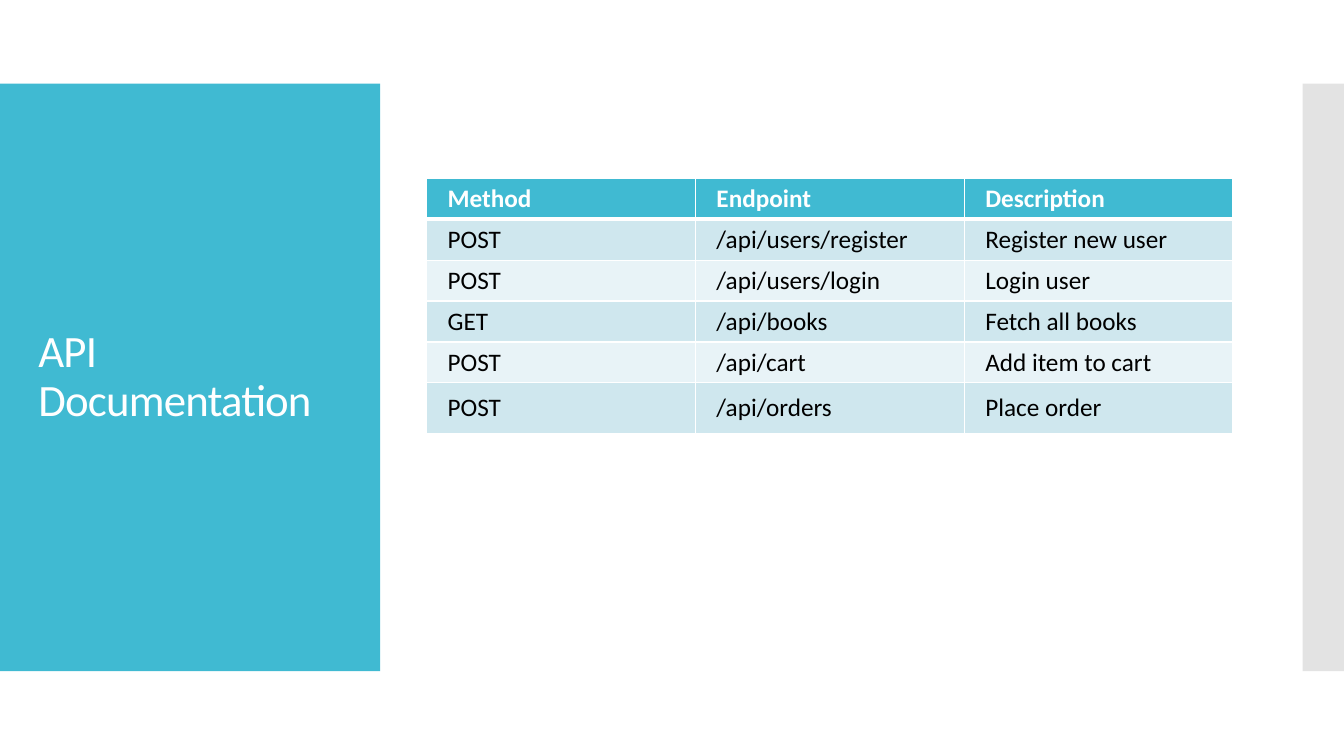
from lxml import etree
from pptx import Presentation
from pptx.dml.color import RGBColor
from pptx.enum.shapes import MSO_SHAPE
from pptx.enum.text import MSO_ANCHOR, MSO_AUTO_SIZE, PP_ALIGN
from pptx.oxml.ns import qn
from pptx.util import Inches, Pt

RECTANGLE = MSO_SHAPE.RECTANGLE
MIDDLE = MSO_ANCHOR.MIDDLE
NO_AUTOFIT = MSO_AUTO_SIZE.NONE
LEFT = PP_ALIGN.LEFT

TEAL = RGBColor(0x40, 0xBA, 0xD2)
GRAY = RGBColor(0xC8, 0xC8, 0xC8)
BAND_DARK = RGBColor(0xCF, 0xE7, 0xEE)
BAND_LIGHT = RGBColor(0xE8, 0xF3, 0xF7)
WHITE = RGBColor(0xFF, 0xFF, 0xFF)
BLACK = RGBColor(0x00, 0x00, 0x00)
FONT = "Calibri"
TITLE_ONLY = 5

ENDPOINTS = [
    ("Method", "Endpoint", "Description"),
    ("POST", "/api/users/register", "Register new user"),
    ("POST", "/api/users/login", "Login user"),
    ("GET", "/api/books", "Fetch all books"),
    ("POST", "/api/cart", "Add item to cart"),
    ("POST", "/api/orders", "Place order"),
]
ROW_HEIGHTS = [0.37] * 5 + [0.5]


def format_font(font, size, color, bold=False):
    font.name = FONT
    font.size = Pt(size)
    font.bold = bold
    font.color.rgb = color


def add_panel(slide, left, width, color, opacity=100):
    panel = slide.shapes.add_shape(
        RECTANGLE, Inches(left), Inches(0.83), Inches(width), Inches(5.83))
    panel.shadow.inherit = False
    panel.fill.solid()
    panel.fill.fore_color.rgb = color
    panel.line.fill.background()
    if opacity < 100:
        fill_color = panel.element.spPr.find(qn("a:solidFill"))[0]
        etree.SubElement(fill_color, qn("a:alpha"), val=str(opacity * 1000))
    slide.shapes.title.element.addprevious(panel.element)


def set_title(slide, text):
    title = slide.shapes.title
    title.left, title.top = Inches(0.28), Inches(1.23)
    title.width, title.height = Inches(3.22), Inches(5.03)
    text_frame = title.text_frame
    text_frame.text = text
    text_frame.word_wrap = True
    text_frame.auto_size = NO_AUTOFIT
    text_frame.vertical_anchor = MIDDLE
    paragraph = text_frame.paragraphs[0]
    paragraph.alignment = LEFT
    paragraph.line_spacing = 0.9
    run = paragraph.runs[0]
    format_font(run.font, 32, WHITE)
    run.font._element.set("spc", "-60")


def set_borders(cell, top, bottom):
    properties = cell._tc.get_or_add_tcPr()
    widths = {"lnL": 1, "lnR": 1, "lnT": top, "lnB": bottom}
    for index, (side, width) in enumerate(widths.items()):
        line = etree.Element(qn(f"a:{side}"), w=str(Pt(width)))
        fill = etree.SubElement(line, qn("a:solidFill"))
        etree.SubElement(fill, qn("a:srgbClr"), val=str(WHITE))
        properties.insert(index, line)


def format_cell(cell, text, row):
    header = row == 0
    cell.text_frame.text = text
    cell.vertical_anchor = MIDDLE
    cell.margin_left = cell.margin_right = Inches(0.21)
    cell.margin_top = cell.margin_bottom = Inches(0.05)
    cell.fill.solid()
    band = BAND_DARK if row % 2 else BAND_LIGHT
    cell.fill.fore_color.rgb = TEAL if header else band
    run = cell.text_frame.paragraphs[0].runs[0]
    format_font(run.font, 18, WHITE if header else BLACK, header)
    set_borders(cell, top=3 if row == 1 else 1, bottom=3 if header else 1)


def add_endpoint_table(slide):
    frame = slide.shapes.add_table(
        len(ENDPOINTS), len(ENDPOINTS[0]),
        Inches(4.23), Inches(1.77), Inches(8), Inches(sum(ROW_HEIGHTS)))
    table = frame.table
    for row, (values, height) in enumerate(zip(ENDPOINTS, ROW_HEIGHTS)):
        table.rows[row].height = Inches(height)
        for column, text in enumerate(values):
            format_cell(table.cell(row, column), text, row)


def main():
    presentation = Presentation()
    presentation.slide_width = Inches(13.33)
    presentation.slide_height = Inches(7.5)
    slide = presentation.slides.add_slide(
        presentation.slide_layouts[TITLE_ONLY])
    add_panel(slide, 0, 3.77, TEAL)
    add_panel(slide, 12.92, 0.41, GRAY, opacity=50)
    set_title(slide, "API Documentation")
    add_endpoint_table(slide)
    presentation.save("out.pptx")


if __name__ == "__main__":
    main()
